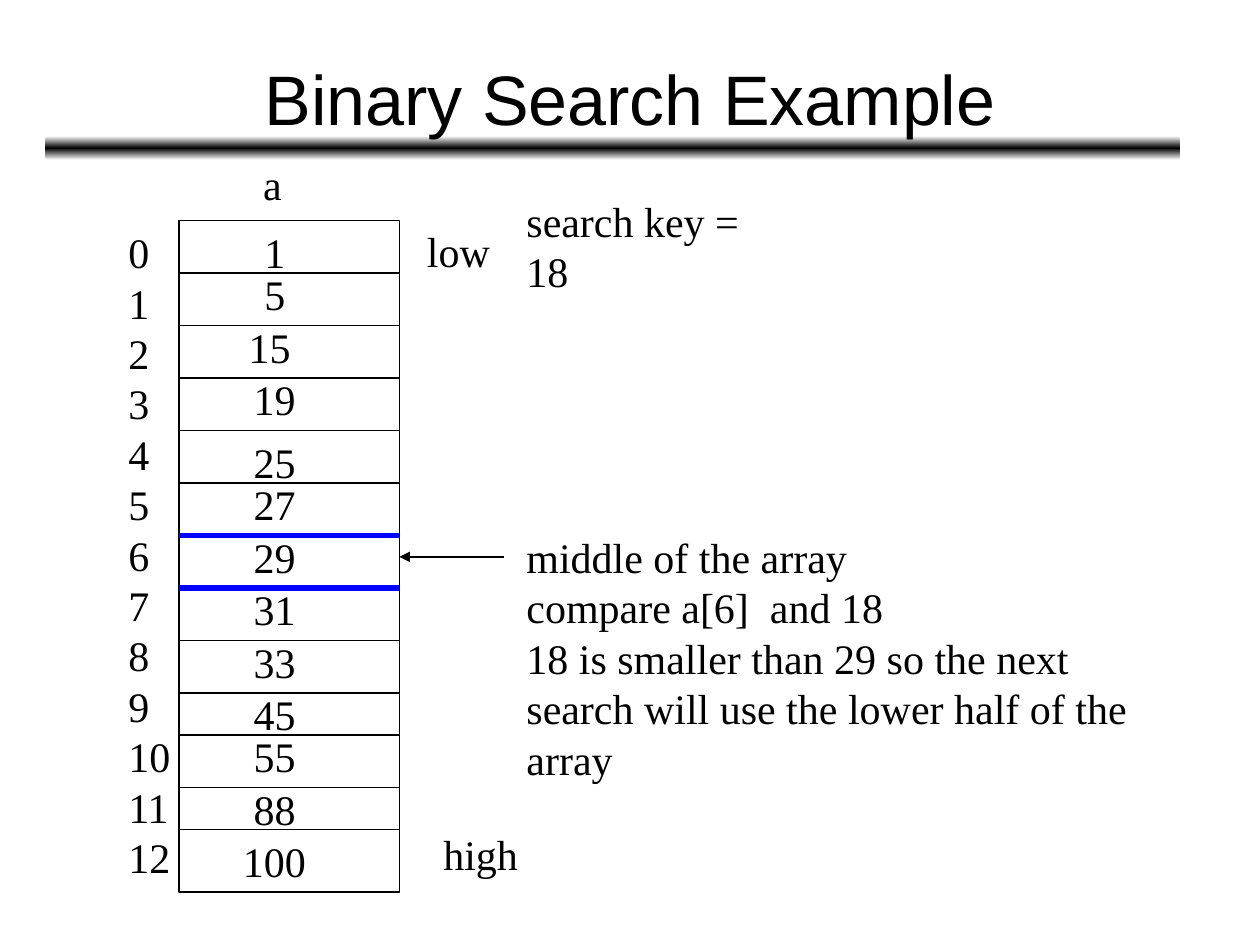
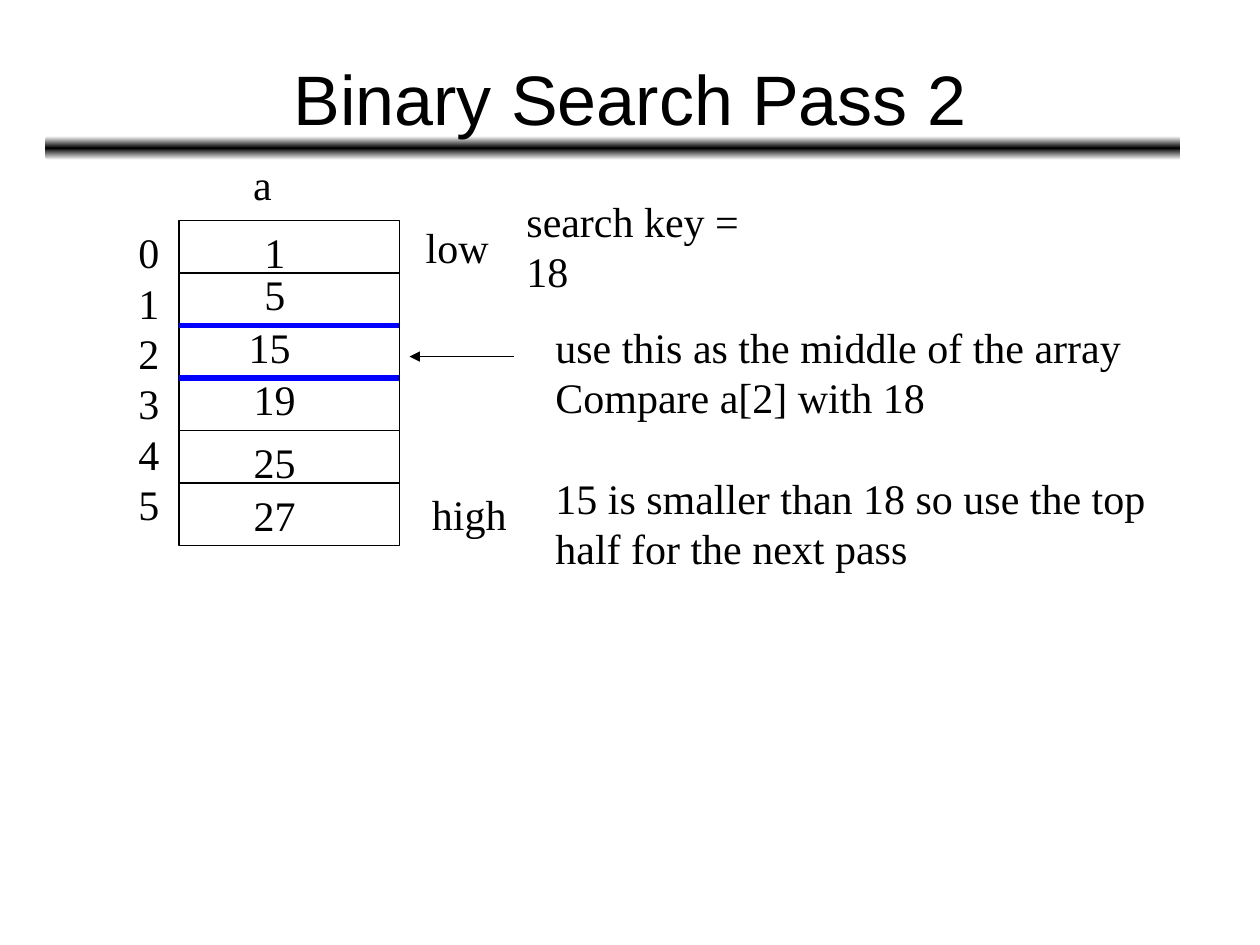
from lxml import etree
from pptx import Presentation
from pptx.dml.color import RGBColor
from pptx.enum.shapes import MSO_CONNECTOR, MSO_SHAPE
from pptx.enum.text import MSO_ANCHOR, MSO_AUTO_SIZE, PP_ALIGN
from pptx.oxml.ns import qn
from pptx.util import Inches, Pt

STRAIGHT = MSO_CONNECTOR.STRAIGHT
RECTANGLE = MSO_SHAPE.RECTANGLE
ROUNDED = MSO_SHAPE.ROUNDED_RECTANGLE
MIDDLE = MSO_ANCHOR.MIDDLE
FIT_SHAPE = MSO_AUTO_SIZE.SHAPE_TO_FIT_TEXT
CENTER = PP_ALIGN.CENTER

BLACK = RGBColor(0, 0, 0)
WHITE = RGBColor(255, 255, 255)
BLUE = RGBColor(0, 0, 255)
TITLE_FONT, BODY_FONT = "Arial", "Times New Roman"
LINE_PITCH = 28.8  # points

# The array column sits on a grid of twelfths of an inch
GRID = 12
ARRAY_LEFT, ARRAY_TOP, ARRAY_WIDTH = 1.42, 1.75, 1.75
ARRAY_RIGHT = ARRAY_LEFT + ARRAY_WIDTH
VALUE_CENTER = 2.18
VALUES = [1, 5, 15, 19, 25, 27, 29, 31, 33, 45, 55, 88, 100]
VALUE_TOPS = [21, 25, 30, 35, 41, 45, 50, 55, 60, 65, 69, 74, 79]
DIVIDERS = [*range(26, 67, 5), 70, 75, 79]


def number_width(number):
    return 0.19 + 0.17 * len(str(number))


def style_paragraph(paragraph, font_name, size):
    paragraph.font.name = font_name
    paragraph.font.size = Pt(size)
    paragraph.font.color.rgb = BLACK


def add_text(slide, left, top, width, *lines, gap_before=None):
    """Left-aligned lines; gap_before is the index of a line set one line lower."""
    height = 0.1 + 0.4 * (len(lines) + (gap_before is not None))
    box = slide.shapes.add_textbox(Inches(left), Inches(top), Inches(width), Inches(height))
    frame = box.text_frame
    frame.word_wrap = False
    frame.auto_size = FIT_SHAPE
    for index, line in enumerate(lines):
        paragraph = frame.paragraphs[0] if index == 0 else frame.add_paragraph()
        paragraph.text = line
        paragraph.line_spacing = Pt(LINE_PITCH)
        if index == gap_before:
            paragraph.space_before = Pt(LINE_PITCH)
        style_paragraph(paragraph, BODY_FONT, 24)


def add_line(slide, start, end, color=BLACK, weight=0.75, arrow=False):
    line = slide.shapes.add_connector(STRAIGHT, *map(Inches, (*start, *end)))
    line.line.color.rgb = color
    line.line.width = Pt(weight)
    if arrow:
        etree.SubElement(line.line._get_or_add_ln(), qn("a:tailEnd"), type="triangle")
    etree.SubElement(line._element.spPr, qn("a:effectLst"))


def add_title_band(slide):
    band = slide.shapes.add_shape(ROUNDED, Inches(0.36), Inches(1.08), Inches(9.01), Inches(0.19))
    band.shadow.inherit = False
    band.line.fill.background()
    band.fill.gradient()
    band.fill.gradient_angle = 270
    # White - black - white needs a third stop
    stops = band._element.spPr.find(qn("a:gradFill")).find(qn("a:gsLst"))
    for stop in list(stops):
        stops.remove(stop)
    for percent, color in ((0, WHITE), (50, BLACK), (100, WHITE)):
        stop = etree.SubElement(stops, qn("a:gs"), pos=str(percent * 1000))
        etree.SubElement(stop, qn("a:srgbClr"), val=str(color))


def add_title(slide, title):
    box = slide.shapes.add_textbox(Inches(0.5), Inches(0.3), Inches(9), Inches(0.95))
    frame = box.text_frame
    frame.word_wrap = True
    frame.vertical_anchor = MIDDLE
    paragraph = frame.paragraphs[0]
    paragraph.text = title
    paragraph.alignment = CENTER
    style_paragraph(paragraph, TITLE_FONT, 40)


def add_array(slide, value_tops, bottom, middle, index_left):
    """Column of cells with indices; the middle cell has blue edges."""
    count = len(value_tops)
    outline = slide.shapes.add_shape(
        RECTANGLE, Inches(ARRAY_LEFT), Inches(ARRAY_TOP),
        Inches(ARRAY_WIDTH), Inches(bottom - ARRAY_TOP))
    outline.shadow.inherit = False
    outline.fill.background()
    outline.line.color.rgb = BLACK
    outline.line.width = Pt(0.75)

    for row, grid_y in enumerate(DIVIDERS[:count - 1]):
        y = grid_y / GRID
        edge = {"color": BLUE, "weight": 3} if row in (middle - 1, middle) else {}
        add_line(slide, (ARRAY_LEFT, y), (ARRAY_RIGHT, y), **edge)

    for value, grid_y in zip(VALUES, value_tops):
        width = number_width(value)
        center = VALUE_CENTER - (0.04 if value == 15 else 0)
        add_text(slide, center - width / 2, grid_y / GRID, width, str(value))

    add_text(slide, index_left, ARRAY_TOP, number_width(count - 1), *map(str, range(count)))


def add_search_slide(prs, title):
    slide = prs.slides.add_slide(prs.slide_layouts[6])
    add_title_band(slide)
    add_title(slide, title)
    add_text(slide, 4.08, 1.5, 2.3, "search key = 18")
    return slide


def add_labels(slide, name_left, low, high):
    add_text(slide, name_left, 1.21, 0.35, "a")
    add_text(slide, *low, 0.7, "low")
    add_text(slide, *high, 0.79, "high")


def main():
    prs = Presentation()
    prs.slide_width, prs.slide_height = Inches(10), Inches(7.5)

    # First pass: whole array
    first = add_search_slide(prs, "Binary Search Example")
    add_array(first, VALUE_TOPS, bottom=7.08, middle=6, index_left=0.92)
    add_labels(first, 1.99, low=(3.29, 1.74), high=(3.42, 6.53))
    add_line(first, (4, 4.42), (ARRAY_RIGHT, 4.42), arrow=True)
    add_text(first, 4.08, 4.17, 5.73,
             "middle of the array",
             "compare a[6]  and 18",
             "18 is smaller than 29 so the next",
             "search will use the lower half of the array")

    # Second pass: lower half, with a taller last cell
    second = add_search_slide(prs, "Binary Search Pass 2")
    add_array(second, [*VALUE_TOPS[:5], 46], bottom=4.33, middle=2, index_left=1)
    add_labels(second, 1.91, low=(3.28, 1.71), high=(3.33, 3.83))
    add_line(second, (4.08, 2.83), (3.25, 2.83), arrow=True)
    add_text(second, 4.31, 2.5, 4.97,
             "use this as the middle of the array",
             "Compare a[2] with 18",
             "15 is smaller than 18 so use the top",
             "half for the next pass",
             gap_before=2)

    prs.save("out.pptx")


if __name__ == "__main__":
    main()
